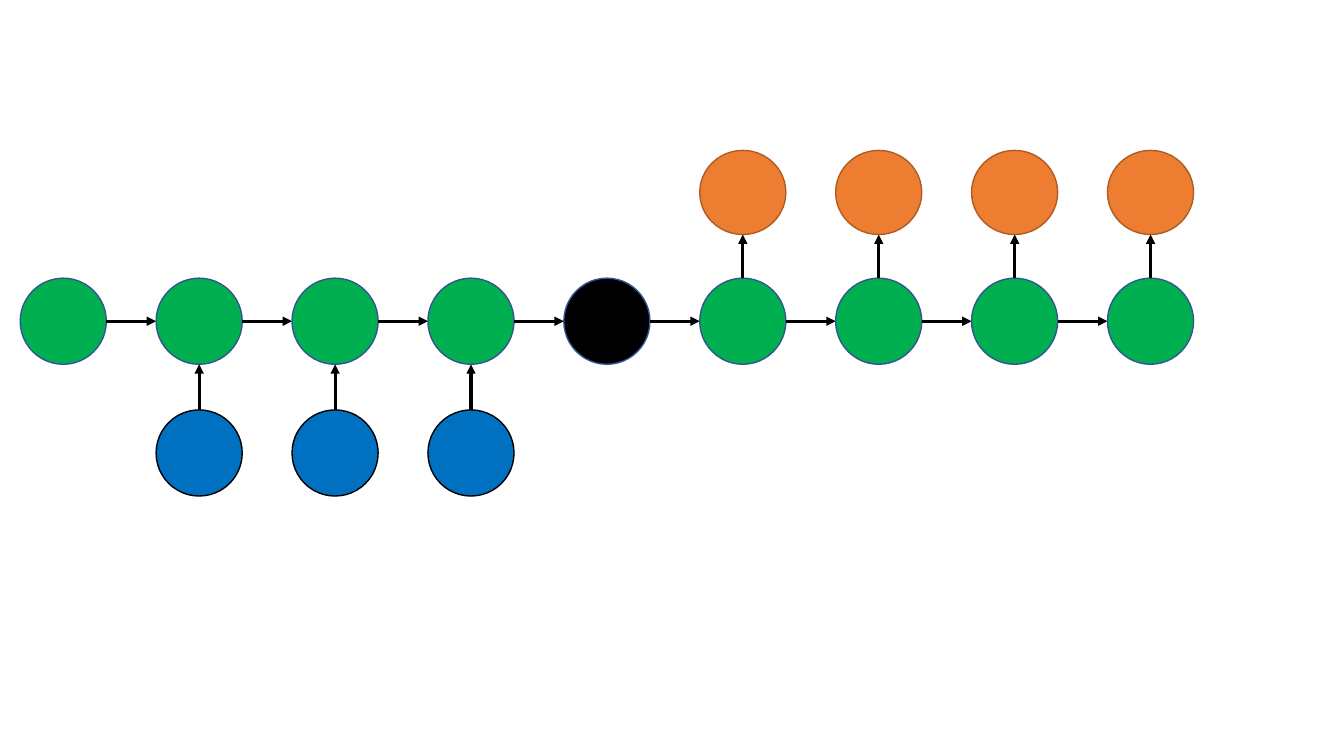
"""Draw a chain of encoder and decoder nodes with inputs below and outputs above."""
from lxml.etree import SubElement
from pptx import Presentation
from pptx.dml.color import RGBColor
from pptx.enum.shapes import MSO_CONNECTOR, MSO_SHAPE
from pptx.oxml.ns import qn
from pptx.util import Cm, Pt

GREEN = RGBColor(0x00, 0xB0, 0x50)
BLUE = RGBColor(0x00, 0x70, 0xC0)
ORANGE = RGBColor(0xED, 0x7D, 0x31)
BLACK = RGBColor(0x00, 0x00, 0x00)
NAVY = RGBColor(0x32, 0x54, 0x91)
BROWN = RGBColor(0xAF, 0x5C, 0x24)

NODE_COUNT = 9
CONTEXT_NODE = 4
DIAMETER = 2.17
FIRST_LEFT = 0.51
PITCH = 27.4 / (NODE_COUNT - 1)
CHAIN_TOP = 7.01
INPUT_TOP = 10.33
OUTPUT_TOP = 3.79
OUTPUT_HEIGHT = 2.12

presentation = Presentation()
presentation.slide_width = Cm(33.87)
presentation.slide_height = Cm(19.05)
slide = presentation.slides.add_slide(presentation.slide_layouts[6])


def add_node(left, top, height, fill_color, line_color):
    shape = slide.shapes.add_shape(
        MSO_SHAPE.OVAL, Cm(left), Cm(top), Cm(DIAMETER), Cm(height))
    shape.shadow.inherit = False
    shape.fill.solid()
    shape.fill.fore_color.rgb = fill_color
    shape.line.color.rgb = line_color
    shape.line.width = Pt(1)


def add_arrow(begin_x, begin_y, end_x, end_y):
    connector = slide.shapes.add_connector(
        MSO_CONNECTOR.STRAIGHT, Cm(begin_x), Cm(begin_y), Cm(end_x), Cm(end_y))
    connector.line.color.rgb = BLACK
    connector.line.width = Pt(2.25)
    SubElement(connector.line._get_or_add_ln(), qn("a:tailEnd"), type="triangle")
    SubElement(connector._element.spPr, qn("a:effectLst"))


for index in range(NODE_COUNT):
    left = FIRST_LEFT + index * PITCH
    center_x = left + DIAMETER / 2
    center_y = CHAIN_TOP + DIAMETER / 2

    add_node(left, CHAIN_TOP, DIAMETER,
             BLACK if index == CONTEXT_NODE else GREEN, NAVY)
    if index < NODE_COUNT - 1:
        add_arrow(left + DIAMETER, center_y, left + PITCH, center_y)

    if 0 < index < CONTEXT_NODE:
        add_node(left, INPUT_TOP, DIAMETER, BLUE, BLACK)
        add_arrow(center_x, INPUT_TOP, center_x, CHAIN_TOP + DIAMETER)
    elif index > CONTEXT_NODE:
        add_node(left, OUTPUT_TOP, OUTPUT_HEIGHT, ORANGE, BROWN)
        add_arrow(center_x, CHAIN_TOP, center_x, OUTPUT_TOP + OUTPUT_HEIGHT)

presentation.save("out.pptx")
